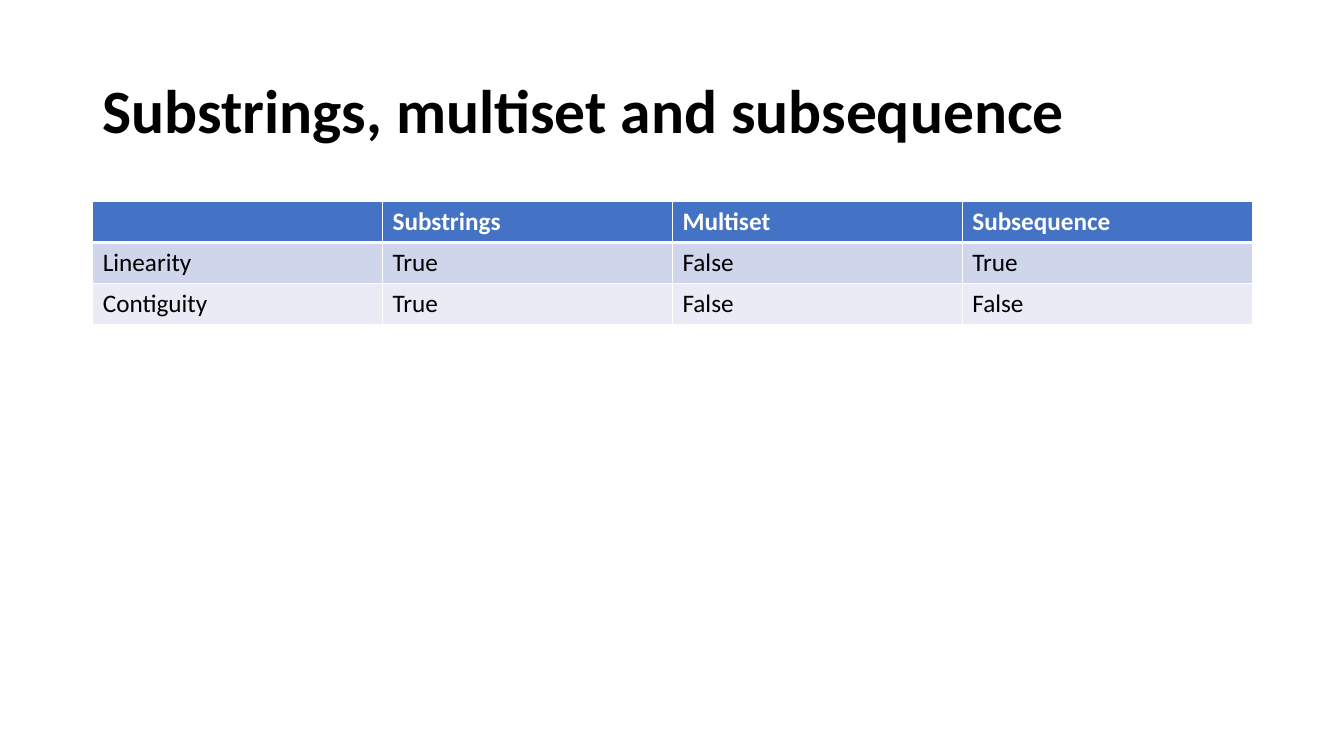
from lxml import etree
from pptx import Presentation
from pptx.dml.color import RGBColor
from pptx.enum.text import MSO_ANCHOR
from pptx.oxml.ns import qn
from pptx.util import Inches, Pt

MIDDLE = MSO_ANCHOR.MIDDLE
FONT = "Calibri"
COLORS = {
    "text": "000000",
    "white": "FFFFFF",
    "header": "4472C4",
    "odd_row": "CFD5EA",
    "even_row": "E9EBF5",
}
TITLE = "Substrings, multiset and subsequence"
ROWS = [
    ["", "Substrings", "Multiset", "Subsequence"],
    ["Linearity", "True", "False", "True"],
    ["Contiguity", "True", "False", "False"],
]


def color(name):
    return RGBColor.from_string(COLORS[name])


def style_font(paragraph, size, color_name, bold):
    font = paragraph.font
    font.name = FONT
    font.size = Pt(size)
    font.bold = bold
    font.color.rgb = color(color_name)


def add_title(slide, left, top, width, height):
    shape = slide.shapes.add_textbox(
        Inches(left), Inches(top), Inches(width), Inches(height))
    frame = shape.text_frame
    frame.word_wrap = True
    frame.vertical_anchor = MIDDLE
    paragraph = frame.paragraphs[0]
    paragraph.text = TITLE
    paragraph.line_spacing = 0.9
    style_font(paragraph, 44, "text", True)


def add_border(cell, side, points):
    properties = cell._tc.get_or_add_tcPr()
    line = etree.SubElement(properties, qn(f"a:{side}"), w=str(Pt(points)))
    fill = etree.SubElement(line, qn("a:solidFill"))
    etree.SubElement(fill, qn("a:srgbClr"), val=COLORS["white"])


def style_cell(cell, row_index):
    is_header = row_index == 0
    # Borders: a thicker rule separates the header from the body
    widths = {"lnL": 1, "lnR": 1,
              "lnT": 3 if row_index == 1 else 1,
              "lnB": 3 if is_header else 1}
    for side, points in widths.items():
        add_border(cell, side, points)
    # Fill: header, then alternating bands
    band = "odd_row" if row_index % 2 else "even_row"
    cell.fill.solid()
    cell.fill.fore_color.rgb = color("header" if is_header else band)
    style_font(cell.text_frame.paragraphs[0], 18,
               "white" if is_header else "text", is_header)


def add_comparison_table(slide, left, top, width, height):
    table = slide.shapes.add_table(
        len(ROWS), len(ROWS[0]),
        Inches(left), Inches(top), Inches(width), Inches(height)).table
    for row_index, values in enumerate(ROWS):
        for column_index, value in enumerate(values):
            cell = table.cell(row_index, column_index)
            cell.text = value
            style_cell(cell, row_index)


def main():
    presentation = Presentation()
    presentation.slide_width = Inches(13.33)
    presentation.slide_height = Inches(7.5)
    slide = presentation.slides.add_slide(presentation.slide_layouts[6])
    add_title(slide, 0.92, 0.4, 11.5, 1.45)
    add_comparison_table(slide, 0.92, 2, 11.5, 1.22)
    presentation.save("out.pptx")


if __name__ == "__main__":
    main()
